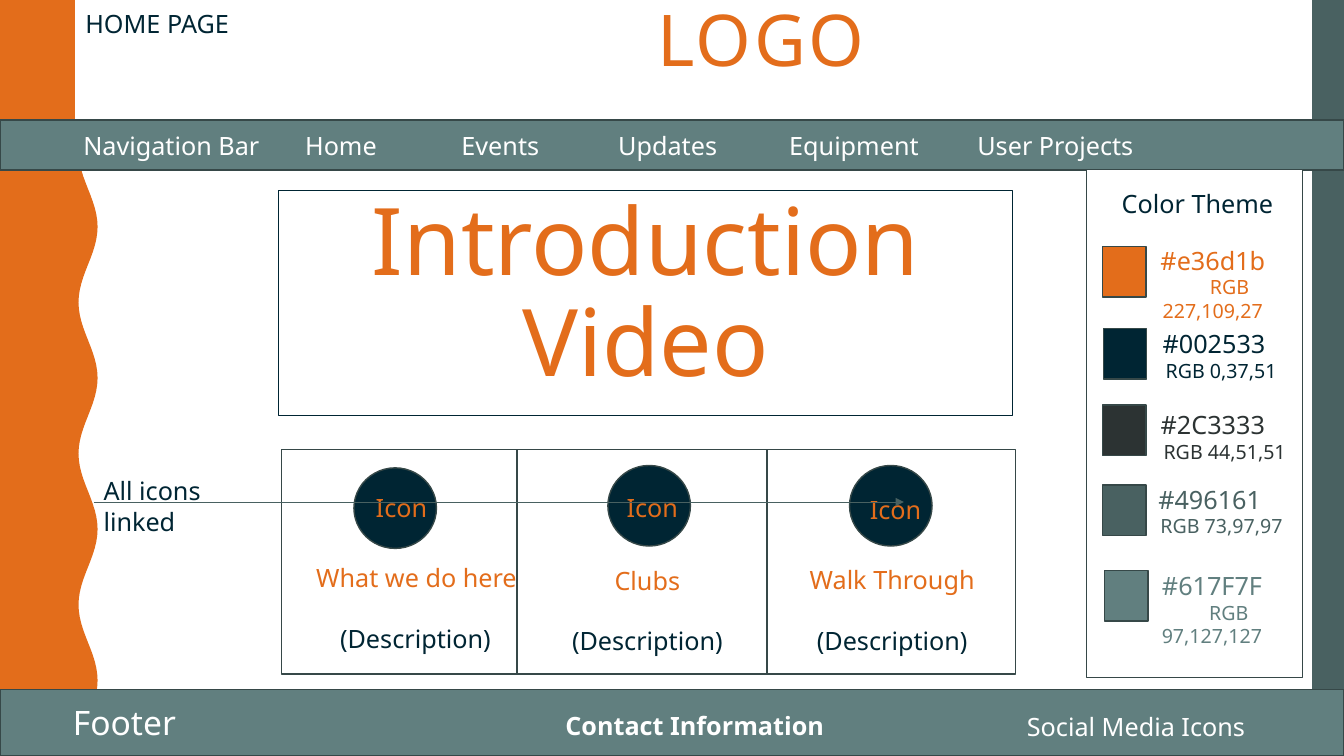
import math
from dataclasses import dataclass

import pptx
import pptx.dml.color
import pptx.enum.shapes
import pptx.enum.text
import pptx.oxml.ns
import pptx.util
from lxml import etree

Cm = pptx.util.Cm
Pt = pptx.util.Pt
Kind = pptx.enum.shapes.MSO_SHAPE
Align = pptx.enum.text.PP_ALIGN
Anchor = pptx.enum.text.MSO_ANCHOR
qn = pptx.oxml.ns.qn


@dataclass(frozen=True)
class Theme:
    """Colours, font and type sizes."""
    orange: str = "E36D1B"
    navy: str = "002533"
    coal: str = "2C3333"
    slate: str = "496161"
    sage: str = "617F7F"
    edge: str = "364848"
    white: str = "FFFFFF"
    font: str = "Noto Sans"
    hero: float = 66.6
    logo: float = 51
    foot: float = 24
    body: float = 18
    note: float = 14


theme = Theme()
WIDE, HIGH = 33.87, 19.05


def shade(hue):
    """Turn a hex string into a colour."""
    return pptx.dml.color.RGBColor.from_string(hue)


def draw(slide, box, fill=None, edge=None, line=1, kind=Kind.RECTANGLE):
    """Add a preset shape in box (left, top, width, height in cm)."""
    shape = slide.shapes.add_shape(kind, *map(Cm, box))
    paint(shape, fill, edge, line)
    return shape


def paint(shape, fill, edge=None, line=1):
    """Set fill and outline, and drop the shadow."""
    shape.shadow.inherit = False
    if fill:
        shape.fill.solid()
        shape.fill.fore_color.rgb = shade(fill)
    else:
        shape.fill.background()
    if edge:
        shape.line.color.rgb = shade(edge)
        shape.line.width = Pt(line)
    else:
        shape.line.fill.background()


def write(para, text, hue, size=theme.body, align=Align.LEFT, bold=False):
    """Add one run to a paragraph and return the run."""
    para.alignment = align
    run = para.add_run()
    run.text = text
    font = run.font
    font.name, font.size, font.bold = theme.font, Pt(size), bold
    font.color.rgb = shade(hue)
    return run


def open_box(slide, box):
    """Add a wrapping text box and return its frame."""
    frame = slide.shapes.add_textbox(*map(Cm, box)).text_frame
    frame.word_wrap = True
    return frame


def label(slide, box, text, hue, **style):
    """Add a text box with a single run and return its paragraph."""
    para = open_box(slide, box).paragraphs[0]
    write(para, text, hue, **style)
    return para


def shift(para, key, size):
    """Set the marL or indent of a paragraph in cm."""
    para._p.get_or_add_pPr().set(key, str(int(Cm(size))))


def add_wave(slide, box):
    """Draw the left band with its wavy right side."""
    left, top, width, height = box
    swing, turn, count = 0.24, 3.81, 120
    points = []
    for step in range(count + 1):
        down = height * step / count
        side = width - swing - swing * math.cos(math.tau * down / turn)
        points.append((Cm(left + side), Cm(top + down)))
    points.append((Cm(left), Cm(top + height)))
    maker = slide.shapes.build_freeform(Cm(left), Cm(top), scale=1.0)
    maker.add_line_segments(points, close=True)
    paint(maker.convert_to_shape(), theme.orange)


def add_head(slide, box):
    """Draw the header with the logo word and the page name."""
    left, top = box[:2]
    frame = draw(slide, box, theme.white, theme.white, 0.75).text_frame
    frame.vertical_anchor = Anchor.TOP
    para = frame.paragraphs[0]
    para.line_spacing = 0.9
    run = write(para, "LOGO", theme.orange, theme.logo)
    run._r.get_or_add_rPr().set("spc", "200")
    shift(para, "marL", 14.41)
    label(slide, (left, top + 0.08, 7.26, 1.02), "HOME PAGE", theme.navy)


def add_video(slide, box):
    """Draw the frame of the video with its heading."""
    frame = draw(slide, box, None, theme.navy, 0.75).text_frame
    frame.word_wrap = True
    frame.vertical_anchor = Anchor.TOP
    para = frame.paragraphs[0]
    para.line_spacing, para.space_before = 0.9, Pt(7)
    write(para, "Introduction Video", theme.orange, theme.hero, Align.CENTER)


def add_nav(slide, box):
    """Draw the navigation bar, its items set on tab stops."""
    left, top = box[:2]
    draw(slide, box, theme.sage, theme.edge)
    items = ("Navigation Bar", "Home", "Events", "Updates", "Equipment",
             "User Projects")
    para = label(slide, (left + 1.85, top + 0.13, 31.95, 1.02),
                 "\t".join(items), theme.white)
    tabs = etree.SubElement(para._p.get_or_add_pPr(), qn("a:tabLst"))
    for stop in (5.59, 9.53, 13.48, 17.79, 22.53):
        etree.SubElement(tabs, qn("a:tab"), pos=str(int(Cm(stop))), algn="l")


def add_foot(slide, box):
    """Draw the footer bar and its three labels."""
    left, top = box[:2]
    draw(slide, box, theme.sage, theme.edge)
    label(slide, (left, top + 0.2, 6.27, 1.27), "Footer", theme.white,
          size=theme.foot, align=Align.CENTER)
    label(slide, (left + 14, top + 0.4, 8.79, 1.02), "Contact Information",
          theme.white, bold=True)
    label(slide, (left + 25.63, top + 0.43, 6.6, 1.02), "Social Media Icons",
          theme.white)


def add_card(slide, box, title, disc, icon, text, inset=None):
    """Draw a card; disc, icon and text are offsets from its corner."""
    left, top = box[:2]
    draw(slide, box, theme.white, theme.edge)
    draw(slide, (left + disc[0], top + disc[1], 2.08, 2.03), theme.navy,
         theme.edge, kind=Kind.OVAL)
    label(slide, (left + icon[0], top + icon[1], 2.2, 1.02), "Icon",
          theme.orange)
    frame = open_box(slide, (left + text[0], top + text[1], text[2], 2.57))
    para = frame.paragraphs[0]
    write(para, title, theme.orange,
          align=Align.LEFT if inset else Align.CENTER)
    para.space_after = Pt(21.5)
    if inset:
        shift(para, "marL", inset)
    write(frame.add_paragraph(), "(Description)", theme.navy,
          align=Align.CENTER)


def add_cards(slide, box):
    """Draw the three cards and the arrow that links their icons."""
    left, top, width, height = box
    cards = (
        (0, 5.94, "What we do here", (1.83, 0.46), (2.13, 0.94),
         (0.33, 2.72, 6.1), 0.3),
        (5.94, 6.3, "Clubs", (2.29, 0.4), (2.51, 0.94), (0.15, 2.79, 6.27)),
        (12.24, 6.27, "Walk Through", (2.08, 0.4), (2.34, 0.99),
         (0.02, 2.77, 6.27)),
    )
    for start, wide, *rest in cards:
        add_card(slide, (left + start, top, wide, height), *rest)
    level = Cm(top + 1.32)
    arrow = slide.shapes.add_connector(
        pptx.enum.shapes.MSO_CONNECTOR.STRAIGHT,
        Cm(left - 4.73), level, Cm(left + 15.69), level)
    arrow.line.color.rgb = shade(theme.slate)
    arrow.line.width = Pt(0.5)
    etree.SubElement(arrow.line._get_or_add_ln(), qn("a:tailEnd"),
                     type="triangle")
    etree.SubElement(arrow._element.spPr, qn("a:effectLst"))
    label(slide, (left - 4.73, top + 0.53, 4.62, 1.02), "All icons linked",
          theme.navy)


def add_key(slide, box):
    """Draw the colour panel: a swatch, hex code and RGB code per row."""
    left, top = box[:2]
    draw(slide, box, theme.white, theme.edge)
    label(slide, (left + 0.64, top + 0.35, 4.8, 1.02), "Color Theme",
          theme.navy)
    rows = (
        (theme.orange, "#e36d1b", (0.41, 1.95), (0.76, 1.78, 4.85), 0.84),
        (theme.navy, "#002533", (0.43, 4.01), (0.79, 3.88, 4.85), 0.36),
        (theme.coal, "#2C3333", (0.41, 5.94), (0.76, 5.92, 4.85), 0.6),
        (theme.slate, "#496161", (0.41, 7.95), (0.97, 7.8, 4.27), 0.6),
        (theme.sage, "#617F7F", (0.46, 10.11), (0.74, 9.98, 4.85), 0.84),
    )
    for hue, code, chip, text, inset in rows:
        draw(slide, (left + chip[0], top + chip[1], 1.09, 1.27), hue,
             theme.edge)
        frame = open_box(slide, (left + text[0], top + text[1], text[2], 1.63))
        write(frame.paragraphs[0], code, hue, align=Align.CENTER)
        para = frame.add_paragraph()
        parts = ",".join(str(part) for part in shade(hue))
        write(para, f"RGB {parts}", hue, theme.note, Align.CENTER)
        shift(para, "indent", inset)


def main():
    """Build the slide and save it."""
    deck = pptx.Presentation()
    deck.slide_width, deck.slide_height = Cm(WIDE), Cm(HIGH)
    slide = deck.slides.add_slide(deck.slide_layouts[6])
    add_wave(slide, (0, 0, 2.46, HIGH))
    draw(slide, (33.07, 0, 0.8, HIGH), theme.slate)
    add_head(slide, (1.9, 0, 30.1, 3.02))
    add_video(slide, (7.01, 4.8, 18.52, 5.66))
    add_foot(slide, (0, 17.37, WIDE, 1.68))
    add_nav(slide, (0, 3.02, WIDE, 1.27))
    add_cards(slide, (7.09, 11.33, 18.51, 5.66))
    add_key(slide, (27.38, 4.27, 5.44, 12.8))
    deck.save("out.pptx")


main()
